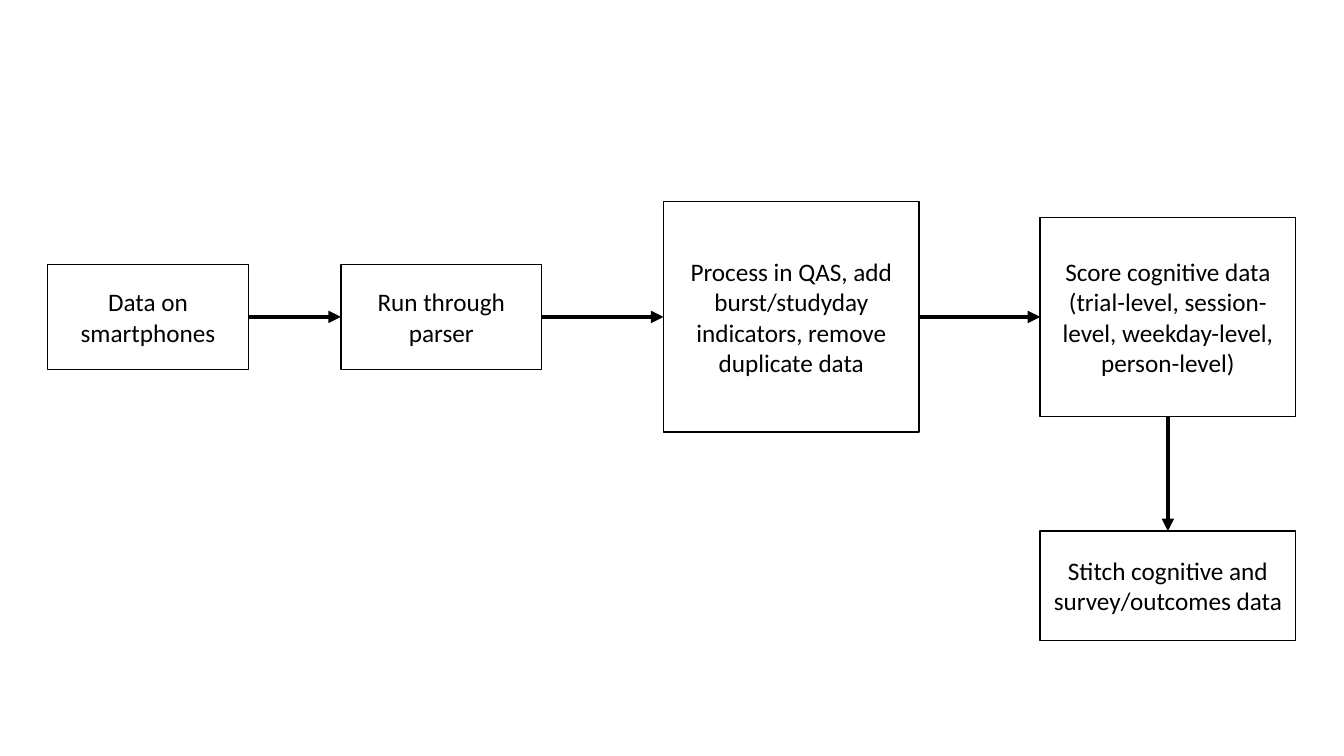
import pptx
import pptx.dml.color
import pptx.enum.shapes
import pptx.enum.text
import pptx.oxml.ns
import pptx.util
from lxml import etree

Pt = pptx.util.Pt
TOP, LEFT, BOTTOM, RIGHT = range(4)  # connection sites of a rectangle


def color(hex_string):
    """Turn a hex string into an RGB colour."""
    return pptx.dml.color.RGBColor.from_string(hex_string)


class FlowSlide:
    """Holds the flowchart style and the slide being drawn."""

    font, text_size = "Calibri", 18
    ink = "000000"
    border, arrow_width = 1, 3

    def __init__(self, slide):
        """Keep the slide that receives the elements."""
        self.slide = slide

    def step(self, text, left, middle, width, height):
        """Add an outlined step centred vertically on middle."""
        box = self.slide.shapes.add_shape(
            pptx.enum.shapes.MSO_SHAPE.RECTANGLE,
            Pt(left), Pt(middle - height / 2), Pt(width), Pt(height))
        box.shadow.inherit = False
        box.fill.background()
        box.line.color.rgb = color(self.ink)
        box.line.width = Pt(self.border)
        frame = box.text_frame
        frame.word_wrap = True
        frame.vertical_anchor = pptx.enum.text.MSO_ANCHOR.MIDDLE
        frame.text = text
        paragraph = frame.paragraphs[0]
        paragraph.alignment = pptx.enum.text.PP_ALIGN.CENTER
        paragraph.font.name = self.font
        paragraph.font.size = Pt(self.text_size)
        paragraph.font.color.rgb = color(self.ink)
        return box

    def arrow(self, source, target, exit_site=RIGHT, entry_site=LEFT):
        """Join two steps with an arrow glued to their sides."""
        link = self.slide.shapes.add_connector(
            pptx.enum.shapes.MSO_CONNECTOR.STRAIGHT, 0, 0, 0, 0)
        link.begin_connect(source, exit_site)
        link.end_connect(target, entry_site)
        link.line.color.rgb = color(self.ink)
        link.line.width = Pt(self.arrow_width)
        qn = pptx.oxml.ns.qn
        etree.SubElement(link.line._get_or_add_ln(), qn("a:tailEnd"), type="triangle")
        etree.SubElement(link._element.spPr, qn("a:effectLst"))


deck = pptx.Presentation()
deck.slide_width, deck.slide_height = Pt(960), Pt(540)
flow = FlowSlide(deck.slides.add_slide(deck.slide_layouts[6]))

ROW_MIDDLE = 226.4
SMALL, LARGE = 143.5, 182.5
SCORE_LEFT = 743

collect = flow.step("Data on smartphones", 34, ROW_MIDDLE, SMALL, 75)
parse_data = flow.step("Run through parser", 243.5, ROW_MIDDLE, SMALL, 75)
process = flow.step(
    "Process in QAS, add burst/studyday indicators, remove duplicate data",
    474, ROW_MIDDLE, LARGE, 164.5)
score = flow.step(
    "Score cognitive data (trial-level, session-level, weekday-level, person-level)",
    SCORE_LEFT, ROW_MIDDLE, LARGE, 142)
stitch = flow.step("Stitch cognitive and survey/outcomes data",
                   SCORE_LEFT, 418.4, LARGE, 78)

row = [collect, parse_data, process, score]
for source, target in zip(row, row[1:]):
    flow.arrow(source, target)
flow.arrow(score, stitch, BOTTOM, TOP)

deck.save("out.pptx")
